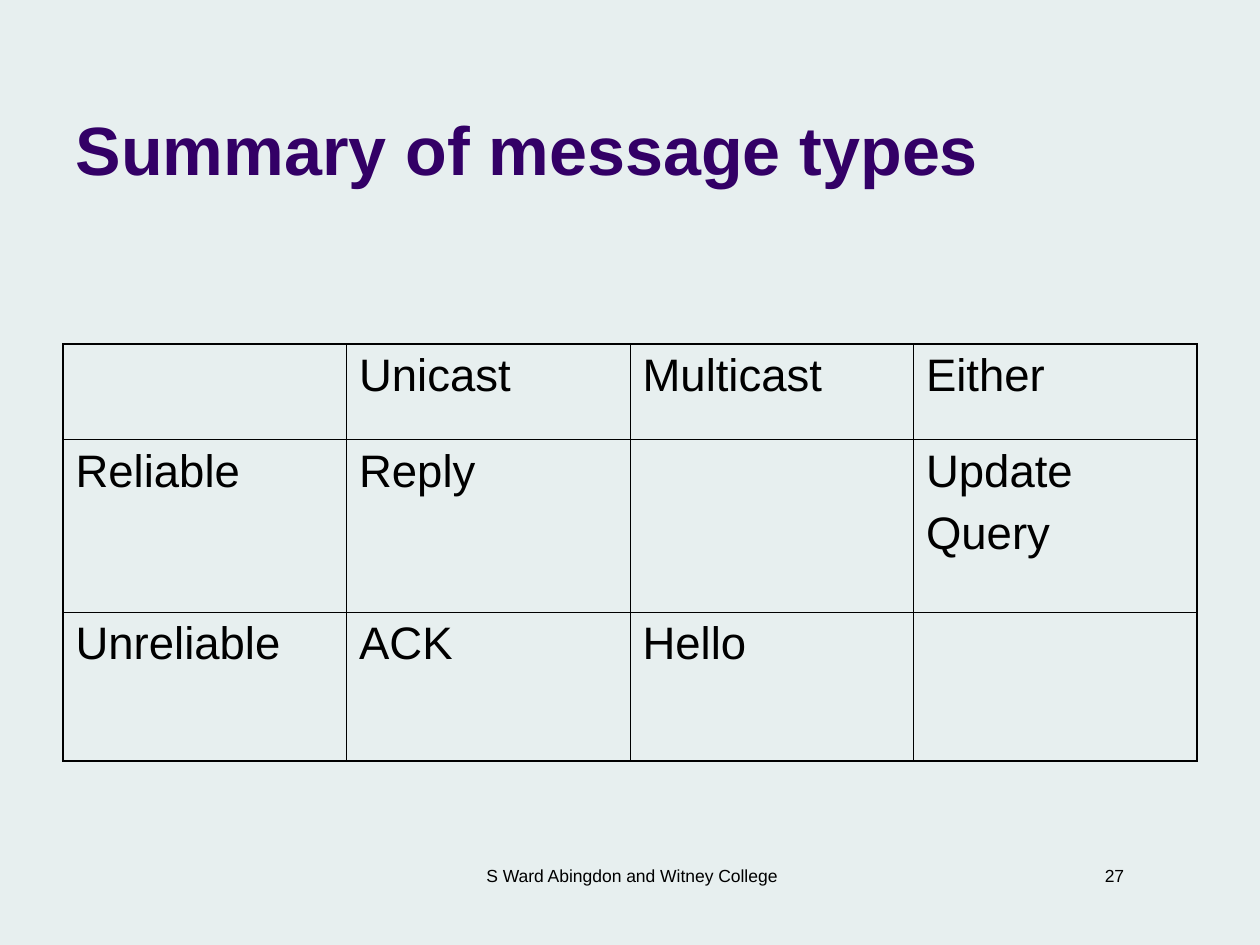
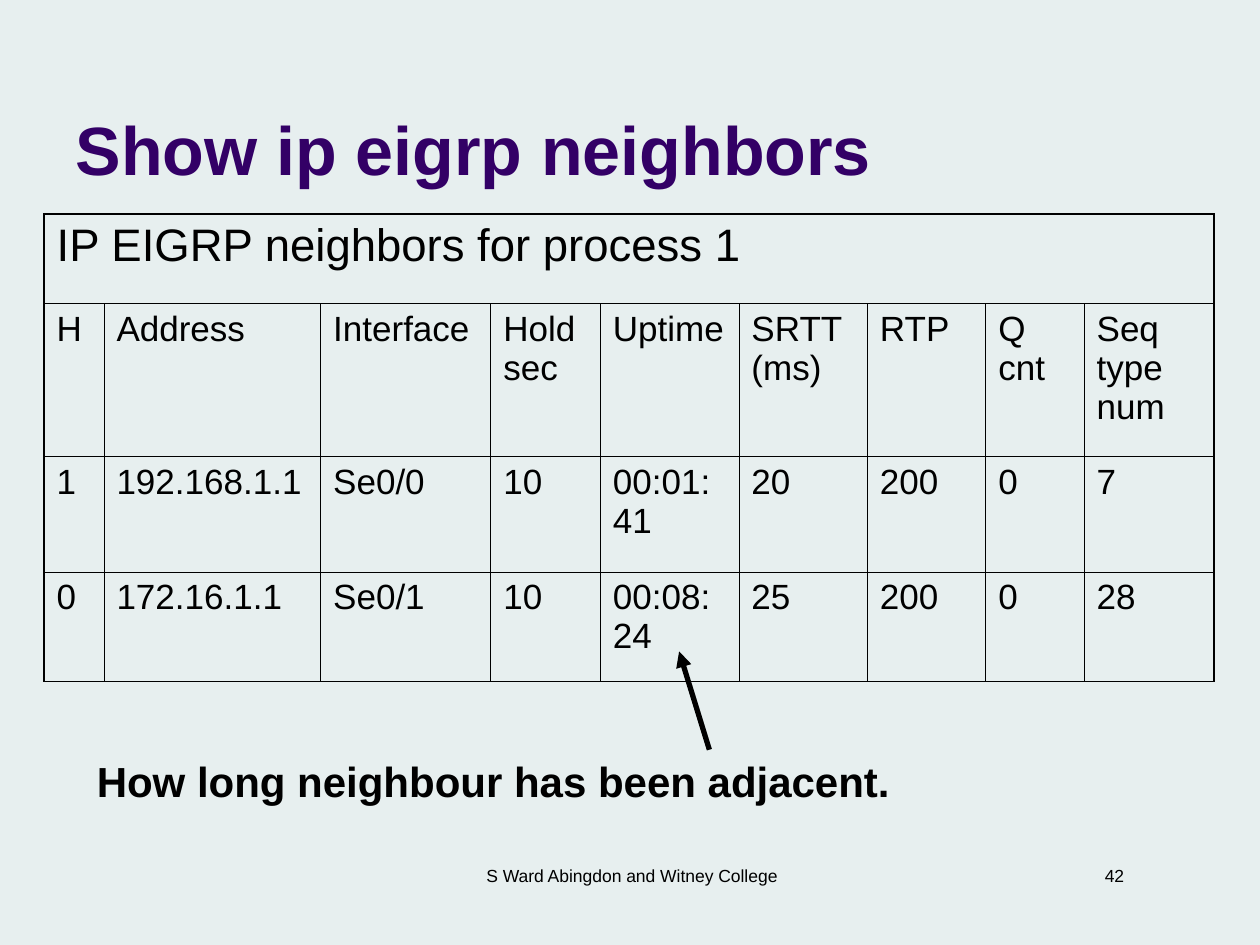
from dataclasses import dataclass

from lxml import etree
from pptx import Presentation
from pptx import util as u
from pptx.dml.color import RGBColor
from pptx.enum import shapes, text
from pptx.oxml import ns

UNIT = u.Inches(0.1)
COLUMNS, ROWS = 100, 75


@dataclass(frozen=True)
class Theme:
    """Colours, type sizes and line widths shared by the slides."""
    font: str = "Arial"
    background: str = "E7EFEF"
    ink: str = "000000"
    heading: str = "330066"
    title_size: int = 39
    large_size: int = 26
    caption_size: int = 24
    small_size: int = 20
    footer_size: int = 10
    outer_line: float = 1.08
    inner_line: float = 0.45
    arrow_line: float = 3


THEME = Theme()


def grid(*lengths):
    """Turn grid units into slide lengths."""
    return [round(length * UNIT) for length in lengths]


def write_text(frame, content, size, color=THEME.ink, bold=False,
               align=text.PP_ALIGN.LEFT, gap=0):
    """Fill a text frame with one paragraph, or a list of them, in one format."""
    frame.word_wrap = True
    lines = [content] if isinstance(content, str) else content
    for index, line in enumerate(lines):
        paragraph = frame.add_paragraph() if index else frame.paragraphs[0]
        paragraph.text = line
        paragraph.alignment = align
        paragraph.space_before = u.Pt(gap if index else 0)
        for run in paragraph.runs:
            run.font.name = THEME.font
            run.font.size = u.Pt(size)
            run.font.bold = bold
            run.font.color.rgb = RGBColor.from_string(color)


def add_label(slide, content, area, size, **style):
    """Add a text box over an area of the grid."""
    label = slide.shapes.add_textbox(*grid(*area))
    write_text(label.text_frame, content, size, **style)


def style_layout(deck):
    """Set the background and title place once and return the layout."""
    fill = deck.slide_master.background.fill
    fill.solid()
    fill.fore_color.rgb = RGBColor.from_string(THEME.background)
    layout = deck.slide_layouts.get_by_name("Title Only")
    heading = layout.placeholders[0]
    heading.left, heading.top, heading.width, heading.height = grid(5, 1.3, 82.5, 14.2)
    return layout


def add_slide(deck, layout, title, number):
    """Add a slide with its title, footer and number."""
    slide = deck.slides.add_slide(layout)
    frame = slide.shapes.title.text_frame
    write_text(frame, title, THEME.title_size, color=THEME.heading, bold=True)
    frame.auto_size = text.MSO_AUTO_SIZE.NONE
    frame.vertical_anchor = text.MSO_ANCHOR.BOTTOM
    add_label(slide, str(number), (69.7, 68.2, 20.5, 2.7), THEME.footer_size,
              align=text.PP_ALIGN.RIGHT)
    add_label(slide, "S Ward Abingdon and Witney College", (34.3, 68.2, 31.7, 5),
              THEME.footer_size, align=text.PP_ALIGN.CENTER)
    return slide


def draw_borders(cell, outer_sides):
    """Draw the four cell borders, heavier on the outer sides."""
    properties = cell._tc.get_or_add_tcPr()
    for index, side in enumerate("LRTB"):
        width = THEME.outer_line if side in outer_sides else THEME.inner_line
        border = etree.Element(ns.qn(f"a:ln{side}"), w=str(u.Pt(width)))
        fill = etree.SubElement(border, ns.qn("a:solidFill"))
        etree.SubElement(fill, ns.qn("a:srgbClr"), val=THEME.ink)
        properties.insert(index, border)


def add_grid_table(slide, origin, widths, heights, rows, size, banner=None):
    """Add a bordered table, with an optional banner merged across its top row."""
    last_row, last_column = len(heights) - 1, len(widths) - 1
    area = grid(*origin, sum(widths), sum(heights))
    table = slide.shapes.add_table(len(heights), len(widths), *area).table
    table.first_row = table.horz_banding = False
    for column, width in zip(table.columns, grid(*widths)):
        column.width = width
    for row, height in zip(table.rows, grid(*heights)):
        row.height = height
    if banner:
        table.cell(0, 0).merge(table.cell(0, last_column))
        write_text(table.cell(0, 0).text_frame, banner, THEME.large_size)
    for r in range(len(heights)):
        for c in range(len(widths)):
            cell = table.cell(r, c)
            cell.fill.background()
            edges = {"L": c == 0, "T": r == 0, "B": r == last_row,
                     "R": c == last_column or cell.is_merge_origin}
            draw_borders(cell, [side for side, outer in edges.items() if outer])
    first = 1 if banner else 0
    for r, entries in enumerate(rows, first):
        for c, entry in enumerate(entries):
            if entry:
                write_text(table.cell(r, c).text_frame, entry, size, gap=size / 4)


def add_arrow(slide, start, end):
    """Add a straight arrow between two grid points."""
    arrow = slide.shapes.add_connector(shapes.MSO_CONNECTOR.STRAIGHT,
                                       *grid(*start, *end))
    arrow.line.width = u.Pt(THEME.arrow_line)
    arrow.line.color.rgb = RGBColor.from_string(THEME.ink)
    etree.SubElement(arrow.line._get_or_add_ln(), ns.qn("a:tailEnd"), type="triangle")
    etree.SubElement(arrow._element.spPr, ns.qn("a:effectLst"))


def add_message_types(deck, layout):
    """Build the summary of message types."""
    slide = add_slide(deck, layout, "Summary of message types", 27)
    messages = [
        ["", "Unicast", "Multicast", "Either"],
        ["Reliable", "Reply", "", ["Update", "Query"]],
        ["Unreliable", "ACK", "Hello", ""],
    ]
    add_grid_table(slide, (5, 27.3), [22.5] * 4, [7.6, 13.7, 11.8],
                   messages, THEME.large_size)


def add_neighbors(deck, layout):
    """Build the neighbor listing with its uptime note."""
    slide = add_slide(deck, layout, "Show ip eigrp neighbors", 42)
    neighbors = [
        ["H", "Address", "Interface", "Hold\nsec", "Uptime", "SRTT (ms)", "RTP",
         "Q cnt", "Seq type num"],
        ["1", "192.168.1.1", "Se0/0", "10", "00:01:41", "20", "200", "0", "7"],
        ["0", "172.16.1.1", "Se0/1", "10", "00:08:24", "25", "200", "0", "28"],
    ]
    add_grid_table(slide, (3.5, 17),
                   [4.75, 17.2, 13.5, 8.7, 11, 10.2, 9.4, 7.8, 10.3],
                   [7.1, 12.1, 9.2, 8.7], neighbors, THEME.small_size,
                   banner="IP EIGRP neighbors for process 1")
    add_label(slide, "How long neighbour has been adjacent.",
              (6.7, 59.5, 80.3, 5), THEME.caption_size, bold=True)
    add_arrow(slide, (56.3, 59.5), (53.9, 51.7))


def main():
    """Build and save the deck."""
    deck = Presentation()
    deck.slide_width, deck.slide_height = grid(COLUMNS, ROWS)
    layout = style_layout(deck)
    add_message_types(deck, layout)
    add_neighbors(deck, layout)
    deck.save("out.pptx")


if __name__ == "__main__":
    main()
